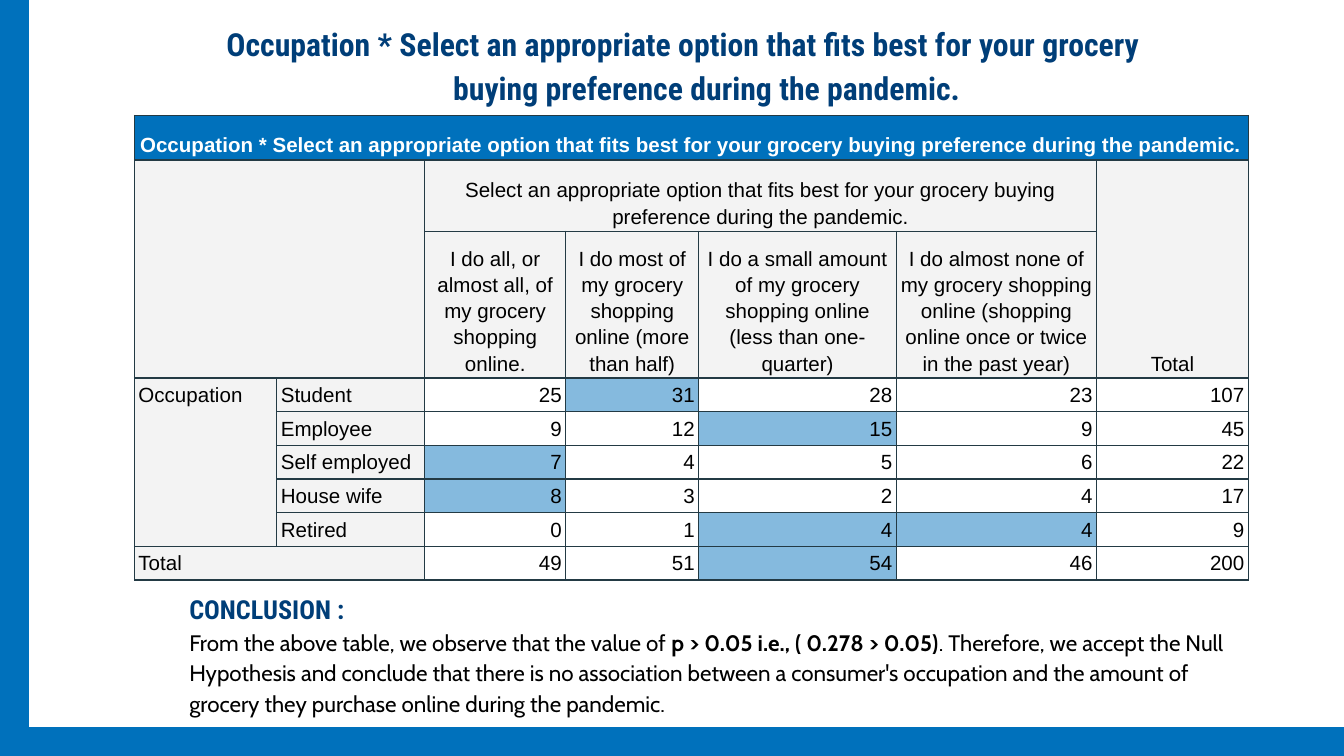
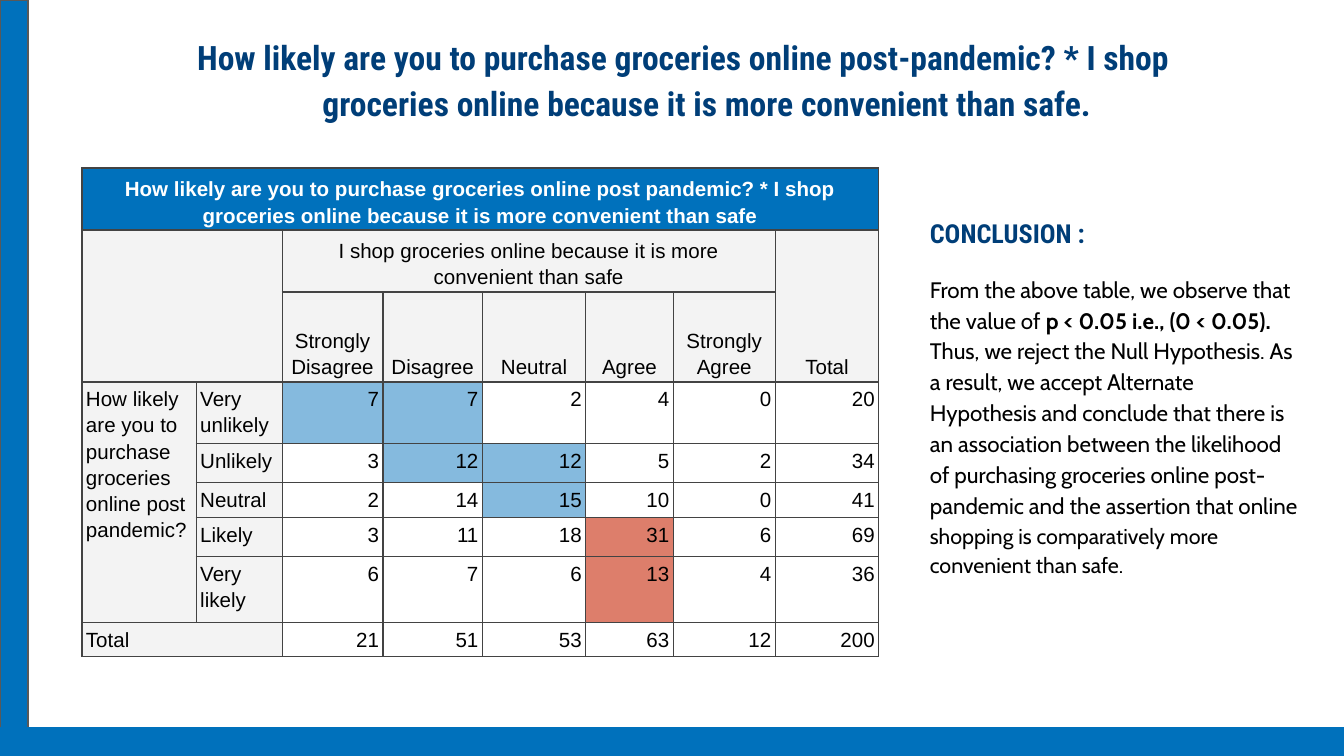
"""Build two cross-table slides with their conclusions."""
from lxml import etree
from pptx import Presentation
from pptx import util as u
from pptx.dml import color
from pptx.enum import shapes, text
from pptx.oxml import ns

BLUE, NAVY, BLACK, WHITE = "0071BC", "003E78", "000000", "FFFFFF"
GREY, SKY, CORAL = "F3F3F3", "85BADE", "DD7E6B"
HEADING_FONT, BODY_FONT, TABLE_FONT = "Roboto Condensed", "Cabin", "Arial"
LEFT, CENTER, RIGHT = text.PP_ALIGN.LEFT, text.PP_ALIGN.CENTER, text.PP_ALIGN.RIGHT
SPACING = 1.15
CELL_SIZE = 11
BAND = 0.21
WIDTH = 10
HEIGHT = WIDTH * 9 / 16


def rgb(value):
    """Turn a hex string into a colour."""
    return color.RGBColor.from_string(value)


def add_span(para, words, size=12, font=BODY_FONT, ink=BLACK, bold=False):
    """Append a formatted run to a paragraph."""
    span = para.add_run()
    span.text = words
    span.font.size = u.Pt(size)
    span.font.name = font
    span.font.bold = bold
    span.font.color.rgb = rgb(ink)


def add_box(slide, place):
    """Add a wrapping text box and return its text frame."""
    box = slide.shapes.add_textbox(*map(u.Inches, place))
    frame = box.text_frame
    frame.word_wrap = True
    frame.auto_size = text.MSO_AUTO_SIZE.SHAPE_TO_FIT_TEXT
    frame.margin_left = frame.margin_right = u.Inches(0.1)
    frame.margin_top = frame.margin_bottom = u.Inches(0.1)
    return frame


def next_paragraph(frame, first, align=LEFT):
    """Return the first or a new paragraph of a frame."""
    para = frame.paragraphs[0] if first else frame.add_paragraph()
    para.alignment = align
    para.line_spacing = SPACING
    return para


def add_title(slide, place, lines, size):
    """Add a two-line title whose second line sits slightly to the right."""
    frame = add_box(slide, place)
    indents = (("marR", 0.05), ("marL", 0.35))
    for index, (line, (side, indent)) in enumerate(zip(lines, indents)):
        para = next_paragraph(frame, index == 0, CENTER)
        para._p.get_or_add_pPr().set(side, str(u.Inches(indent)))
        add_span(para, line, size=size, font=HEADING_FONT, ink=NAVY, bold=True)


def add_conclusion(slide, place, spans, gap=0):
    """Add the conclusion heading and its paragraph of (words, format) spans."""
    frame = add_box(slide, place)
    heading = next_paragraph(frame, True)
    add_span(heading, "CONCLUSION :", size=14, font=HEADING_FONT, ink=NAVY, bold=True)
    para = next_paragraph(frame, False)
    para.space_before = u.Pt(gap)
    for words, style in spans:
        add_span(para, words, **style)


def add_band(slide, place, edge=BLUE):
    """Add a solid blue band."""
    band = slide.shapes.add_shape(shapes.MSO_SHAPE.RECTANGLE, *map(u.Inches, place))
    band.shadow.inherit = False
    band.fill.solid()
    band.fill.fore_color.rgb = rgb(BLUE)
    band.line.color.rgb = rgb(edge)
    band.line.width = u.Pt(0.75)


def add_frame_bands(slide, bottom_left, left_edge=BLUE):
    """Add the left and bottom bands of a slide."""
    add_band(slide, (0, 0, BAND, HEIGHT), left_edge)
    add_band(slide, (bottom_left, HEIGHT - BAND, WIDTH - bottom_left, BAND))


def set_borders(cell, ink):
    """Draw thin lines on all four sides of a cell."""
    props = cell._tc.get_or_add_tcPr()
    for index, side in enumerate("LRTB"):
        line = etree.Element(ns.qn(f"a:ln{side}"), w=str(u.Pt(0.75)))
        solid = etree.SubElement(line, ns.qn("a:solidFill"))
        etree.SubElement(solid, ns.qn("a:srgbClr"), val=ink)
        props.insert(index, line)


def fill_cell(cell, words, fill, border, align=LEFT, ink=BLACK, bold=False):
    """Write and format a table cell; centred cells sit at the bottom."""
    cell.margin_left = cell.margin_right = u.Inches(0.03)
    cell.margin_top = cell.margin_bottom = u.Inches(0.02)
    cell.vertical_anchor = text.MSO_ANCHOR.BOTTOM if align == CENTER else text.MSO_ANCHOR.TOP
    cell.fill.solid()
    cell.fill.fore_color.rgb = rgb(fill)
    set_borders(cell, border)
    para = next_paragraph(cell.text_frame, True, align)
    if words:
        add_span(para, words, size=CELL_SIZE, font=TABLE_FONT, ink=ink, bold=bold)
    etree.SubElement(para._p, ns.qn("a:endParaRPr"), sz=str(CELL_SIZE * 100))


def add_crosstab(slide, place, widths, heights, border, caption, question,
                 options, group, counts, marks):
    """Add a cross table, with totals, from counts keyed by row label."""
    last = len(widths) - 1
    bottom = len(heights) - 1
    table = slide.shapes.add_table(
        len(heights), len(widths), *map(u.Inches, place)).table
    table.first_row = table.horz_banding = False
    for column, width in zip(table.columns, widths):
        column.width = u.Inches(width)
    for row, height in zip(table.rows, heights):
        row.height = u.Inches(height)

    sums = [sum(column) for column in zip(*counts.values())]
    grid = [[caption] + [""] * last,
            ["", "", question] + [""] * (last - 3) + ["Total"],
            ["", "", *options, ""]]
    for index, (label, values) in enumerate(counts.items()):
        grid.append(["" if index else group, label, *values, sum(values)])
    grid.append(["Total", "", *sums, sum(sums)])

    for r, row in enumerate(grid):
        for c, value in enumerate(row):
            if r == 0:
                style = dict(fill=BLUE, align=CENTER, ink=WHITE, bold=True)
            elif r < 3:
                style = dict(fill=GREY, align=CENTER)
            elif c < 2:
                style = dict(fill=GREY)
            else:
                style = dict(fill=marks.get((r - 3, c - 2), WHITE), align=RIGHT)
            fill_cell(table.cell(r, c), str(value), border=border, **style)

    merges = (((0, 0), (0, last)), ((1, 0), (2, 1)), ((1, 2), (1, last - 1)),
              ((1, last), (2, last)), ((3, 0), (bottom - 1, 0)), ((bottom, 0), (bottom, 1)))
    for start, end in merges:
        table.cell(*start).merge(table.cell(*end))


def add_occupation_slide(deck):
    """Build the slide on occupation and buying preference."""
    slide = deck.slides.add_slide(deck.slide_layouts[6])
    question = ("Select an appropriate option that fits best for your grocery buying "
                "preference during the pandemic.")
    add_title(slide, (0.61, 0.04, 9, 0.82), (
        "Occupation * Select an appropriate option that fits best for your grocery",
        "buying preference during the pandemic."), 17)
    add_conclusion(slide, (1.31, 4.28, 7.98, 1.14), (
        ("From the above table, we observe that the value of ", {}),
        ("p > 0.05 i.e., ( 0.278 > 0.05)", {"bold": True}),
        (". Therefore, we accept the Null Hypothesis and conclude that there is no "
         "association between a consumer's occupation and the amount of grocery they "
         "purchase online during the pandemic.", {})))
    add_frame_bands(slide, BAND)
    add_crosstab(
        slide, (1, 0.86, 8.29, 3.4),
        widths=(1.06, 1.1, 1.05, 0.99, 1.47, 1.49, 1.13),
        heights=(0.33, 0.53, 1.02, 0.24, 0.24, 0.25, 0.24, 0.24, 0.24),
        border="233A44",
        caption=f"Occupation * {question}",
        question=question,
        options=("I do all, or almost all, of my grocery shopping online.",
                 "I do most of my grocery shopping online (more than half)",
                 "I do a small amount of my grocery shopping online (less than one-quarter)",
                 "I do almost none of my grocery shopping online (shopping online once or "
                 "twice in the past year)"),
        group="Occupation",
        counts={"Student": (25, 31, 28, 23),
                "Employee": (9, 12, 15, 9),
                "Self employed": (7, 4, 5, 6),
                "House wife": (8, 3, 2, 4),
                "Retired": (0, 1, 4, 4)},
        marks=dict.fromkeys(((0, 1), (1, 2), (2, 0), (3, 0), (4, 2), (4, 3), (5, 2)), SKY))


def add_convenience_slide(deck):
    """Build the slide on post-pandemic purchases and convenience."""
    slide = deck.slides.add_slide(deck.slide_layouts[6])
    question = "I shop groceries online because it is more convenient than safe"
    group = "How likely are you to purchase groceries online post pandemic?"
    add_title(slide, (0.61, 0.13, 9, 0.85), (
        "How likely are you to purchase groceries online post-pandemic? * I shop",
        "groceries online because it is more convenient than safe."), 18)
    add_conclusion(slide, (6.82, 1.48, 2.99, 3.15), (
        ("From the above table, we observe that the value of ", {}),
        ("p < 0.05 i.e., (0 < 0.05).", {"bold": True}),
        (" Thus, we reject the Null Hypothesis. As a result, we accept Alternate "
         "Hypothesis and conclude that there is an association between the likelihood of "
         "purchasing groceries online post-pandemic and the assertion that online", {}),
        (" shopping is comparatively more convenient than safe.", {"size": 11.5})), gap=12.5)
    add_frame_bands(slide, 0, left_edge="595959")
    add_crosstab(
        slide, (0.61, 1.25, 5.93, 3.59),
        widths=(0.85, 0.64, 0.75, 0.74, 0.77, 0.65, 0.76, 0.77),
        heights=(0.36, 0.45, 0.67, 0.38, 0.29, 0.26, 0.29, 0.49, 0.24),
        border="434343",
        caption=f"{group} * {question}",
        question=question,
        options=("Strongly Disagree", "Disagree", "Neutral", "Agree", "Strongly Agree"),
        group=group,
        counts={"Very unlikely": (7, 7, 2, 4, 0),
                "Unlikely": (3, 12, 12, 5, 2),
                "Neutral": (2, 14, 15, 10, 0),
                "Likely": (3, 11, 18, 31, 6),
                "Very likely": (6, 7, 6, 13, 4)},
        marks={**dict.fromkeys(((0, 0), (0, 1), (1, 1), (1, 2), (2, 2)), SKY),
               **dict.fromkeys(((3, 3), (4, 3)), CORAL)})


def main():
    """Build and save the deck."""
    deck = Presentation()
    deck.slide_width = u.Inches(WIDTH)
    deck.slide_height = u.Inches(HEIGHT)
    add_occupation_slide(deck)
    add_convenience_slide(deck)
    deck.save("out.pptx")


if __name__ == "__main__":
    main()
